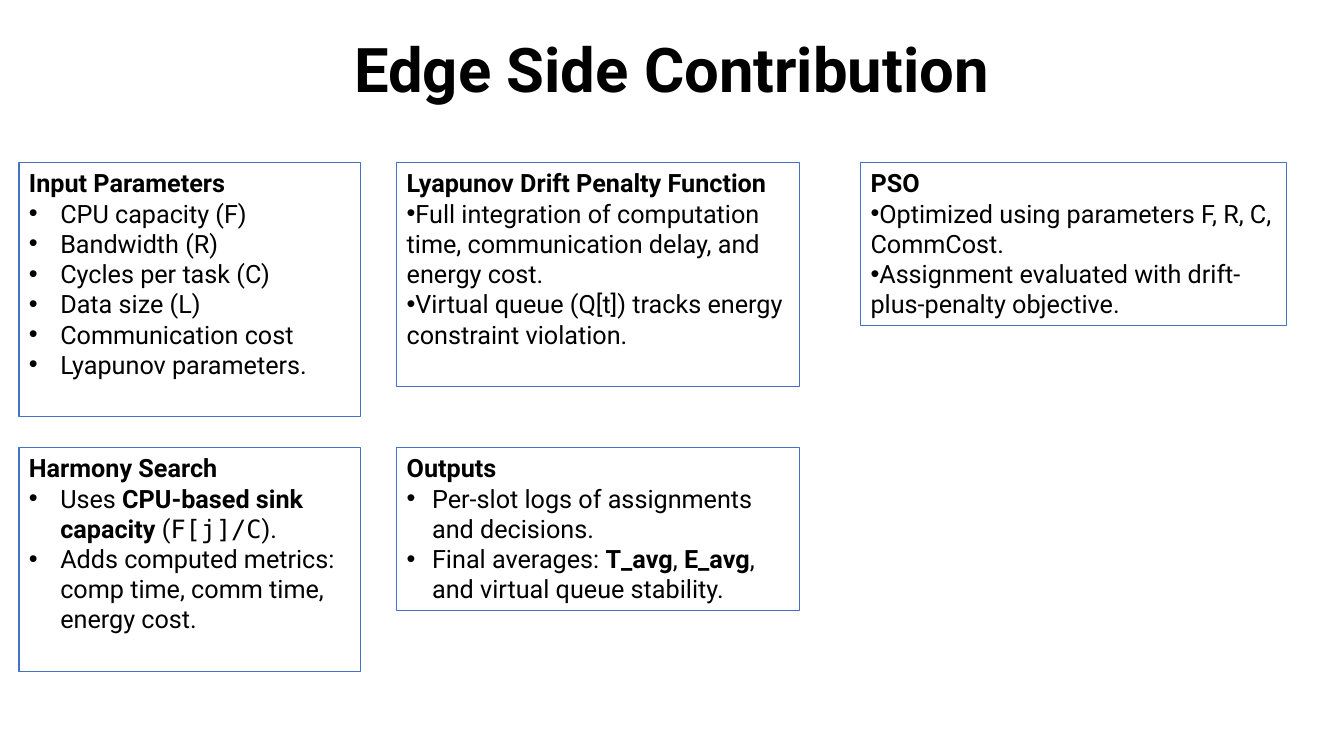
import pptx
import pptx.dml.color
import pptx.enum.shapes
import pptx.enum.text
import pptx.oxml.ns
import pptx.util
from lxml import etree

Cm = pptx.util.Cm
BLACK = pptx.dml.color.RGBColor(0x00, 0x00, 0x00)
BORDER_BLUE = pptx.dml.color.RGBColor(0x44, 0x72, 0xC4)
BODY_FONT = "Roboto"
CODE_FONT = "DejaVu Sans Mono"

LEFT_COLUMN, MIDDLE_COLUMN, RIGHT_COLUMN = 0.48, 10, 21.69
TOP_ROW, BOTTOM_ROW = 4.1, 11.28
WIDE_INDENT, NARROW_INDENT = 0.79, 0.64

# Each panel: left, top, width, height, bullet indent, heading, bullets.
# A bullet is a list of spans: plain text, or text with its format.
PANELS = [
    (LEFT_COLUMN, TOP_ROW, 8.61, 6.4, WIDE_INDENT, "Input Parameters", [
        ["CPU capacity (F)"],
        ["Bandwidth (R)"],
        ["Cycles per task (C)"],
        ["Data size (L)"],
        ["Communication cost"],
        ["Lyapunov parameters."],
    ]),
    (MIDDLE_COLUMN, TOP_ROW, 10.16, 5.64, 0, "Lyapunov Drift Penalty Function", [
        ["Full integration of computation time, communication delay, and energy cost."],
        ["Virtual queue (Q[t]) tracks energy constraint violation."],
    ]),
    (RIGHT_COLUMN, TOP_ROW, 10.74, 4.11, 0, "PSO", [
        ["Optimized using parameters F, R, C, CommCost."],
        ["Assignment evaluated with drift-plus-penalty objective."],
    ]),
    (LEFT_COLUMN, BOTTOM_ROW, 8.61, 5.64, WIDE_INDENT, "Harmony Search", [
        ["Uses ", ("CPU-based sink capacity", {"bold": True}), " (",
         ("F[j]/C", {"font": CODE_FONT}), ")."],
        ["Adds computed metrics: comp time, comm time, energy cost."],
    ]),
    (MIDDLE_COLUMN, BOTTOM_ROW, 10.16, 4.11, NARROW_INDENT, "Outputs", [
        ["Per-slot logs of assignments and decisions."],
        ["Final averages: ", ("T_avg", {"bold": True}), ", ",
         ("E_avg", {"bold": True}), ", and virtual queue stability."],
    ]),
]


def add_span(para, text, size=18, font=BODY_FONT, bold=False, color=BLACK):
    span = para.add_run()
    span.text = text
    span.font.size = pptx.util.Pt(size)
    span.font.name = font
    span.font.bold = bold
    span.font.color.rgb = color


def set_bullet(para, indent):
    """Give the paragraph a round bullet with a hanging indent in cm."""
    properties = para._p.get_or_add_pPr()
    properties.set("marL", str(Cm(indent)))
    properties.set("indent", str(-Cm(indent)))
    qualified = pptx.oxml.ns.qn
    etree.SubElement(properties, qualified("a:buFont"), typeface="Arial")
    etree.SubElement(properties, qualified("a:buChar"), char="•")


class ContributionSlide:
    def __init__(self, deck):
        self.page = deck.slides.add_slide(deck.slide_layouts[6])

    def add_title(self, text, left, top, width, height):
        box = self.page.shapes.add_textbox(Cm(left), Cm(top), Cm(width), Cm(height))
        frame = box.text_frame
        frame.word_wrap = True
        frame.vertical_anchor = pptx.enum.text.MSO_ANCHOR.MIDDLE
        para = frame.paragraphs[0]
        para.alignment = pptx.enum.text.PP_ALIGN.CENTER
        para.line_spacing = 0.9
        add_span(para, text, size=44, bold=True)

    def add_panel(self, left, top, width, height, indent, heading, bullets):
        box = self.page.shapes.add_shape(
            pptx.enum.shapes.MSO_SHAPE.RECTANGLE,
            Cm(left), Cm(top), Cm(width), Cm(height))
        box.shadow.inherit = False
        box.fill.background()
        box.line.color.rgb = BORDER_BLUE
        box.line.width = pptx.util.Pt(0.75)
        frame = box.text_frame
        frame.word_wrap = True
        frame.vertical_anchor = pptx.enum.text.MSO_ANCHOR.TOP
        para = frame.paragraphs[0]
        para.alignment = pptx.enum.text.PP_ALIGN.LEFT
        add_span(para, heading, bold=True)
        for spans in bullets:
            para = frame.add_paragraph()
            para.alignment = pptx.enum.text.PP_ALIGN.LEFT
            set_bullet(para, indent)
            for span in spans:
                text, style = (span, {}) if isinstance(span, str) else span
                add_span(para, text, **style)


def main():
    deck = pptx.Presentation()
    deck.slide_width, deck.slide_height = Cm(33.87), Cm(19.05)
    slide = ContributionSlide(deck)
    slide.add_title("Edge Side Contribution", 2.33, 0, 29.21, 3.68)
    for panel in PANELS:
        slide.add_panel(*panel)
    deck.save("out.pptx")


if __name__ == "__main__":
    main()
